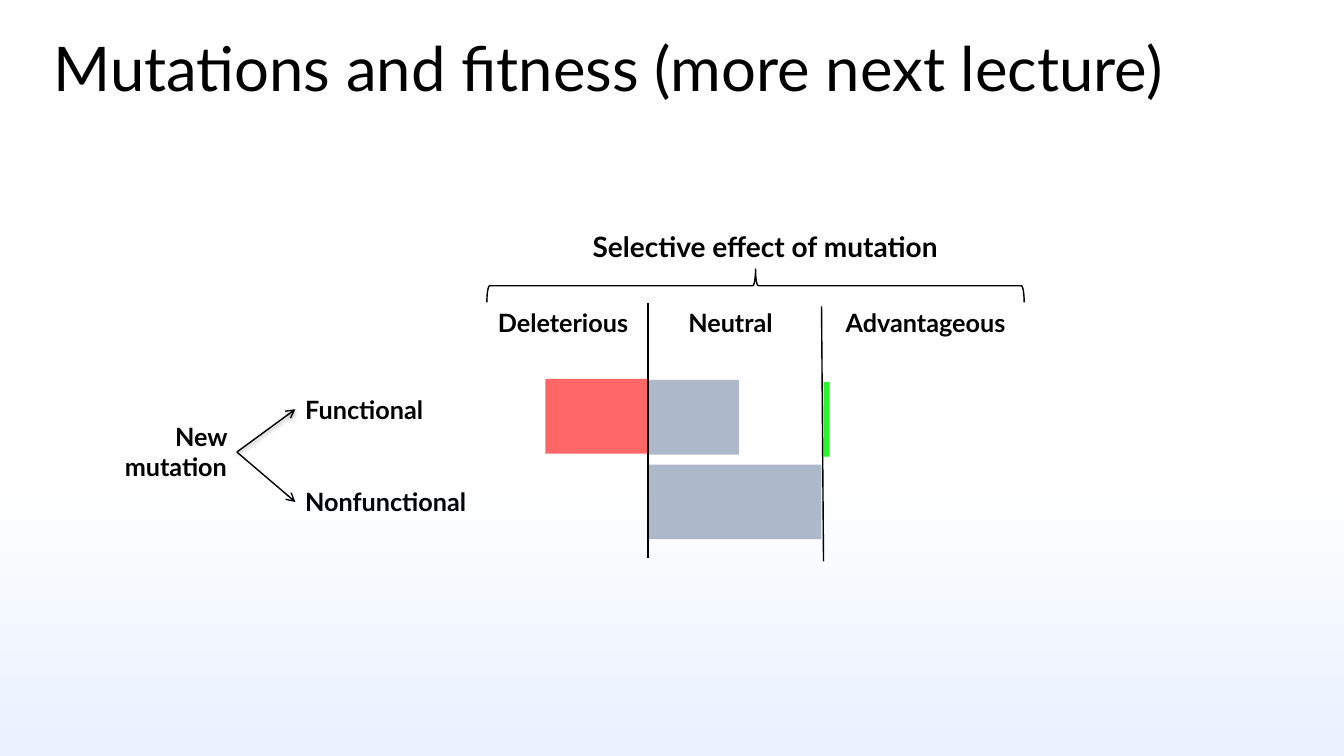
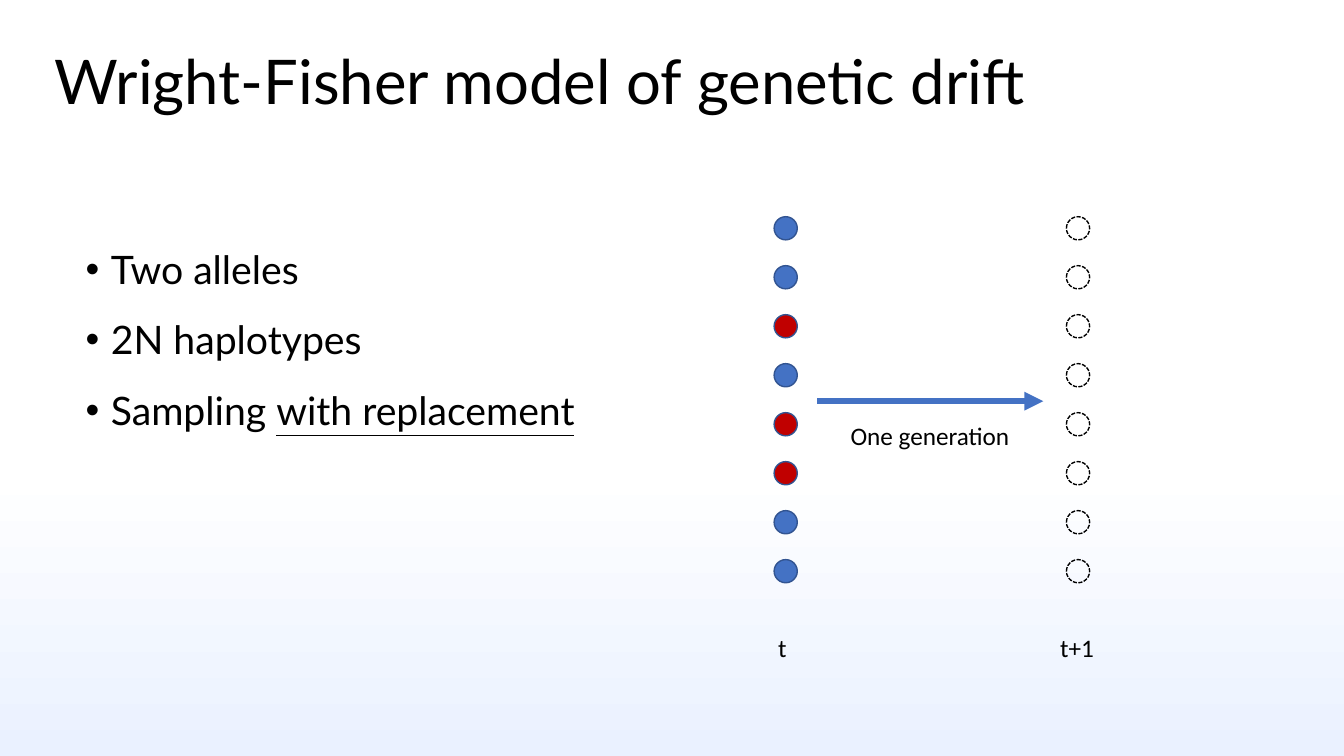
"""Build two slides on mutations, fitness and genetic drift."""
from dataclasses import dataclass

from pptx import Presentation as Deck
from pptx.dml.color import RGBColor as Rgb
from pptx.enum.dml import MSO_LINE as Dash
from pptx.enum.shapes import MSO_CONNECTOR as Wire, MSO_SHAPE as Form
from pptx.enum.text import MSO_ANCHOR as Anchor, MSO_AUTO_SIZE as Fit, PP_ALIGN as Align
from pptx.oxml import parse_xml
from pptx.oxml.ns import nsdecls
from pptx.oxml.xmlchemy import OxmlElement as Node
from pptx.util import Emu, Inches, Pt

CELL = Inches(0.1)
COLS, ROWS = 133.33, 75
FONT, PLAIN = "Lato", "Calibri"
HUES = {
    "ink": "000000", "top": "FFFFFF", "base": "EAF1FF", "harm": "FF6666",
    "even": "ADB9CA", "gain": "2BF32B", "blue": "4472C4", "red": "C00000", "rim": "325491",
}


@dataclass(frozen=True)
class Box:
    """A frame in grid columns and rows."""
    x: float
    y: float
    w: float
    h: float


@dataclass(frozen=True)
class Label:
    """A short text and its frame."""
    text: str
    box: Box
    size: int = 18
    font: str = FONT
    bold: bool = True
    align: Align = Align.LEFT
    wrap: bool = False


@dataclass(frozen=True)
class Bar:
    """A filled block of the fitness chart."""
    hue: str
    box: Box


TAGS = (
    Label("Neutral", Box(67.3, 30, 10.9, 4)),
    Label("Deleterious", Box(48.4, 30, 15.8, 4)),
    Label("Advantageous", Box(82.9, 30, 19.4, 4)),
    Label("Selective effect of mutation", Box(57.8, 22.3, 38.4, 4.4), size=20),
)
ROOT = Label("New mutation", Box(10, 41.3, 13.5, 7.1), align=Align.RIGHT, wrap=True)
KINDS = (
    Label("Functional", Box(29.3, 38.6, 16.6, 4), wrap=True),
    Label("Nonfunctional", Box(29.3, 47.8, 19, 4)),
)
BARS = (
    Bar("harm", Box(54.1, 37.6, 10.1, 7.4)),
    Bar("even", Box(64.4, 37.7, 8.9, 7.4)),
    Bar("gain", Box(81.7, 37.9, 0.6, 7.4)),
    Bar("even", Box(64.4, 46.1, 17.1, 7.4)),
)
RULES = ((64.3, 30.1, 64.3, 55.4), (81.5, 30.4, 81.7, 55.7))
NOTES = (
    Label("One generation", Box(83.4, 41.2, 18, 4), font=PLAIN, bold=False),
    Label("t", Box(76.2, 62.2, 2.9, 4), font=PLAIN, bold=False),
    Label("t+1", Box(104.2, 62.2, 5.4, 4), font=PLAIN, bold=False),
)
GENES = ("blue", "blue", "red", "blue", "red", "red", "blue", "blue")
DOT, STEP, FIRST = 2.3, 4.86, 21.5


def cell(*sizes: float) -> list[Emu]:
    """Turn grid counts into lengths."""
    return [Emu(round(size * CELL)) for size in sizes]


def area(box: Box) -> list[Emu]:
    """Give a frame as left, top, width and height."""
    return cell(box.x, box.y, box.w, box.h)


def tint(name: str) -> Rgb:
    """Look up a colour."""
    return Rgb.from_string(HUES[name])


def write(frame, text: str, *, size: int, font: str = FONT, bold: bool = False,
          align: Align = Align.LEFT, lead: float = 1.0, gap: int = 0, hang: float = 0) -> None:
    """Fill a text frame, one paragraph a line, underlining words between underscores."""
    for row, line in enumerate(text.split("\n")):
        para = frame.add_paragraph() if row else frame.paragraphs[0]
        para.alignment, para.line_spacing, para.space_before = align, lead, Pt(gap)
        if hang:
            props = para._p.get_or_add_pPr()
            props.set("marL", str(Inches(hang)))
            props.set("indent", str(-Inches(hang)))
        for turn, part in enumerate(line.split("_")):
            if part:
                run = para.add_run()
                run.text = part
                face = run.font
                face.name, face.size, face.bold = font, Pt(size), bold
                face.underline = turn % 2 == 1
                face.color.rgb = tint("ink")


def place(holder, box: Box) -> None:
    """Move a placeholder to a frame."""
    holder.left, holder.top, holder.width, holder.height = area(box)
    holder.text_frame.auto_size = Fit.NONE


def start(deck, kind: int, title: str, x: float, y: float):
    """Add a slide with its title."""
    slide = deck.slides.add_slide(deck.slide_layouts[kind])
    head = slide.shapes.title
    place(head, Box(x, y, 115, 10.4))
    head.text_frame.vertical_anchor = Anchor.MIDDLE
    write(head.text_frame, title, size=44, lead=0.9)
    return slide


def label(slide, tag: Label):
    """Draw a text box."""
    shape = slide.shapes.add_textbox(*area(tag.box))
    frame = shape.text_frame
    frame.word_wrap, frame.auto_size = tag.wrap, Fit.SHAPE_TO_FIT_TEXT
    write(frame, tag.text, size=tag.size, font=tag.font, bold=tag.bold, align=tag.align)
    return shape


def draw(slide, form: Form, box: Box, fill: str = "", line: str = "", dash: bool = False):
    """Draw a preset shape."""
    shape = slide.shapes.add_shape(form, *area(box))
    shape.shadow.inherit = False
    if fill:
        shape.fill.solid()
        shape.fill.fore_color.rgb = tint(fill)
    else:
        shape.fill.background()
    if line:
        shape.line.color.rgb, shape.line.width = tint(line), Pt(1)
        if dash:
            shape.line.dash_style = Dash.SQUARE_DOT
    else:
        shape.line.fill.background()
    return shape


def link(slide, ends: tuple = (0, 0, 0, 0), hue: str = "ink", width: float = 1,
         tip: str = "", shade: bool = False):
    """Draw a straight line, with an arrowhead if a tip is named."""
    wire = slide.shapes.add_connector(Wire.STRAIGHT, *cell(*ends))
    wire.line.color.rgb, wire.line.width = tint(hue), Pt(width)
    props = wire.element.spPr
    if tip:
        tail = Node("a:tailEnd")
        tail.set("type", tip)
        props.get_or_add_ln().append(tail)
    glow = (f'<a:outerShdw blurRad="{Pt(3.1)}" dist="{Pt(1.6)}" dir="5400000" rotWithShape="0">'
            f'<a:srgbClr val="{HUES["ink"]}"><a:alpha val="38000"/></a:srgbClr></a:outerShdw>')
    props.append(parse_xml(f'<a:effectLst {nsdecls("a")}>{glow if shade else ""}</a:effectLst>'))
    return wire


def paint(deck) -> None:
    """Give the master its fading background."""
    fill = deck.slide_master.background.fill
    fill.gradient()
    fill.gradient_angle = 270
    for stop, name, spot in zip(fill.gradient_stops, ("top", "base"), (0.62, 1)):
        stop.color.rgb, stop.position = tint(name), spot


def fitness(deck) -> None:
    """Build the slide on mutations and fitness."""
    slide = start(deck, 5, "Mutations and fitness (more next lecture)", 4.3, 1.9)
    for bar in BARS:
        draw(slide, Form.RECTANGLE, bar.box, bar.hue)
    for ends in RULES:
        link(slide, ends)
    for tag in TAGS:
        label(slide, tag)
    root = label(slide, ROOT)
    for tag in KINDS:
        leaf = label(slide, tag)
        wire = link(slide, tip="arrow", shade=tag is KINDS[0])
        wire.begin_connect(root, 3)
        wire.end_connect(leaf, 1)
    brace = draw(slide, Form.LEFT_BRACE, Box(73.3, 1.7, 3.3, 53.3), line="ink")
    brace.rotation = 90


def drift(deck) -> None:
    """Build the slide on genetic drift."""
    slide = start(deck, 1, "Wright-Fisher model of genetic drift", 4.4, 3.2)
    body = slide.placeholders[1]
    place(body, Box(7.5, 22.9, 62.6, 39.3))
    write(body.text_frame, "Two alleles\n2N haplotypes\nSampling _with replacement_",
          size=28, lead=1.2, gap=10, hang=0.25)
    for row, gene in enumerate(GENES):
        y = FIRST + row * STEP
        draw(slide, Form.OVAL, Box(76.8, y, DOT, DOT), gene, "rim")
        draw(slide, Form.OVAL, Box(105.8, y, DOT, DOT), line="ink", dash=True)
    link(slide, (81.1, 39.8, 103.5, 39.8), "blue", 4.5, "triangle")
    for tag in NOTES:
        label(slide, tag)


def main() -> None:
    """Build and save the deck."""
    deck = Deck()
    deck.slide_width, deck.slide_height = cell(COLS, ROWS)
    paint(deck)
    fitness(deck)
    drift(deck)
    deck.save("out.pptx")


if __name__ == "__main__":
    main()
